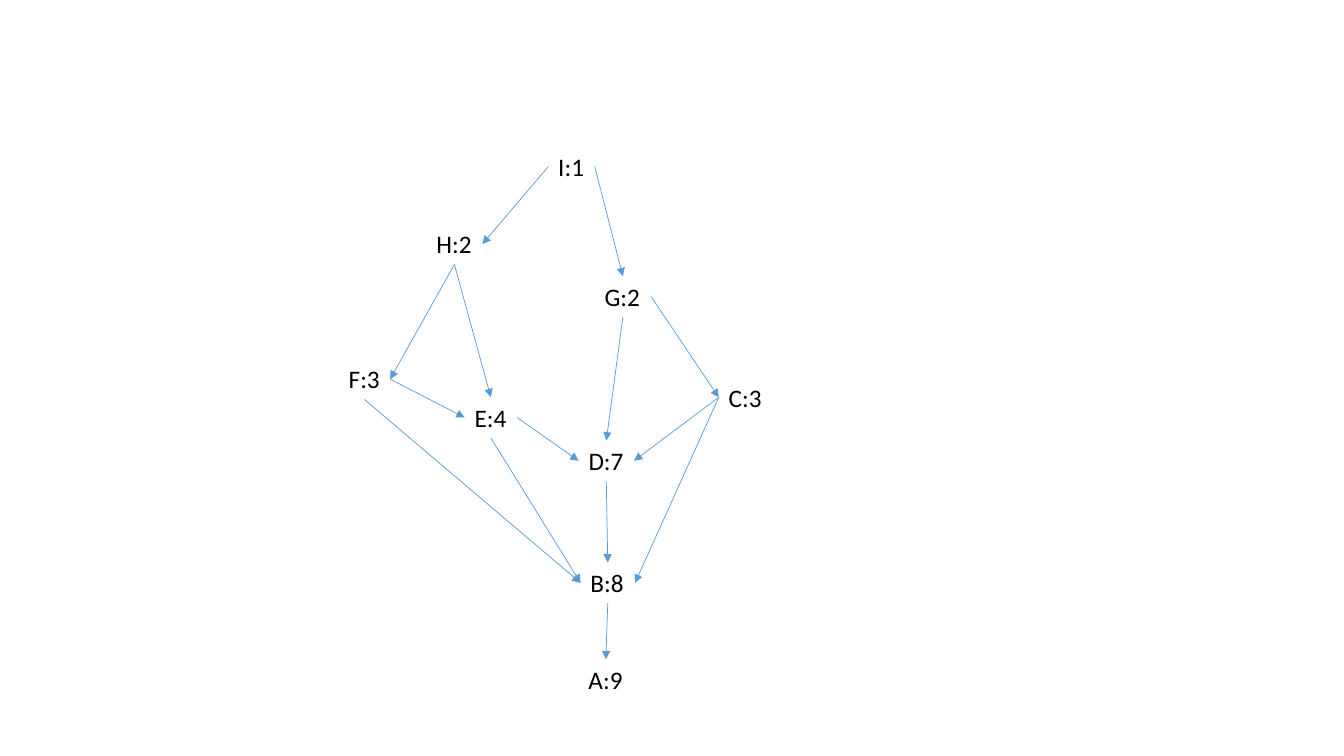
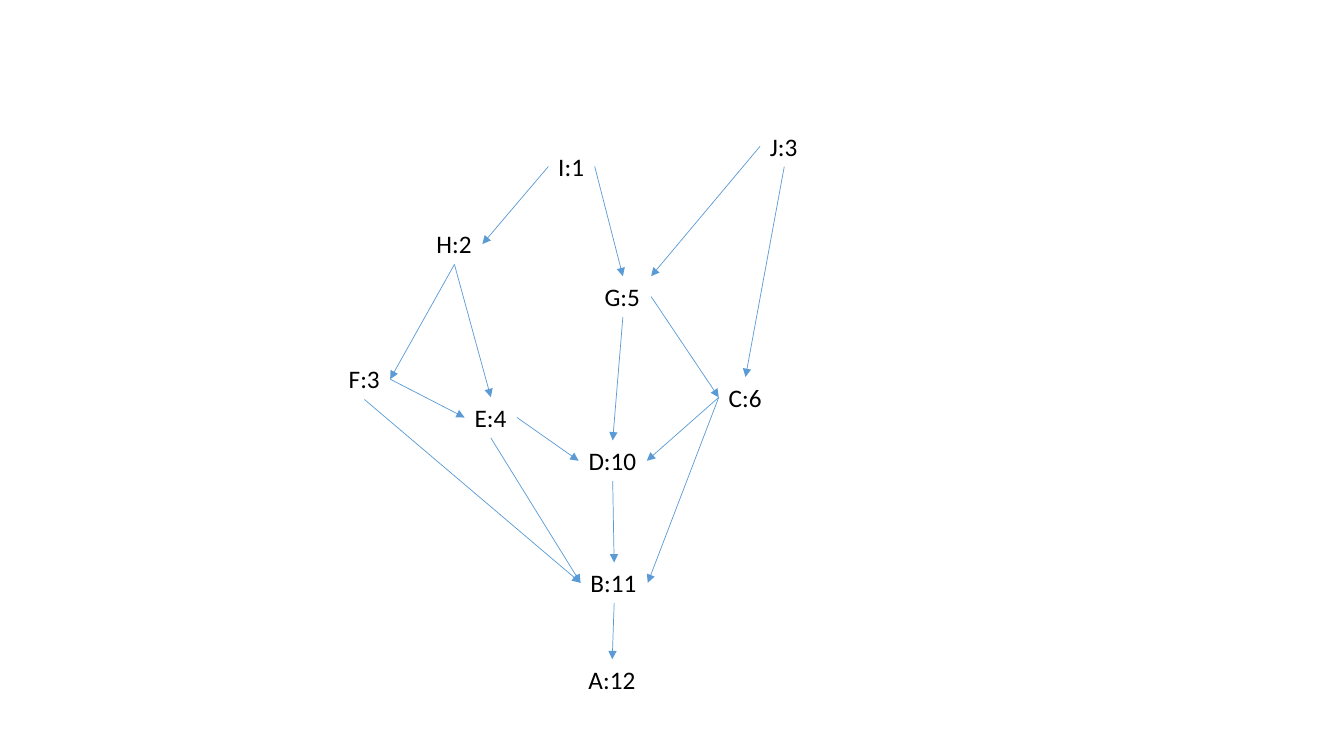
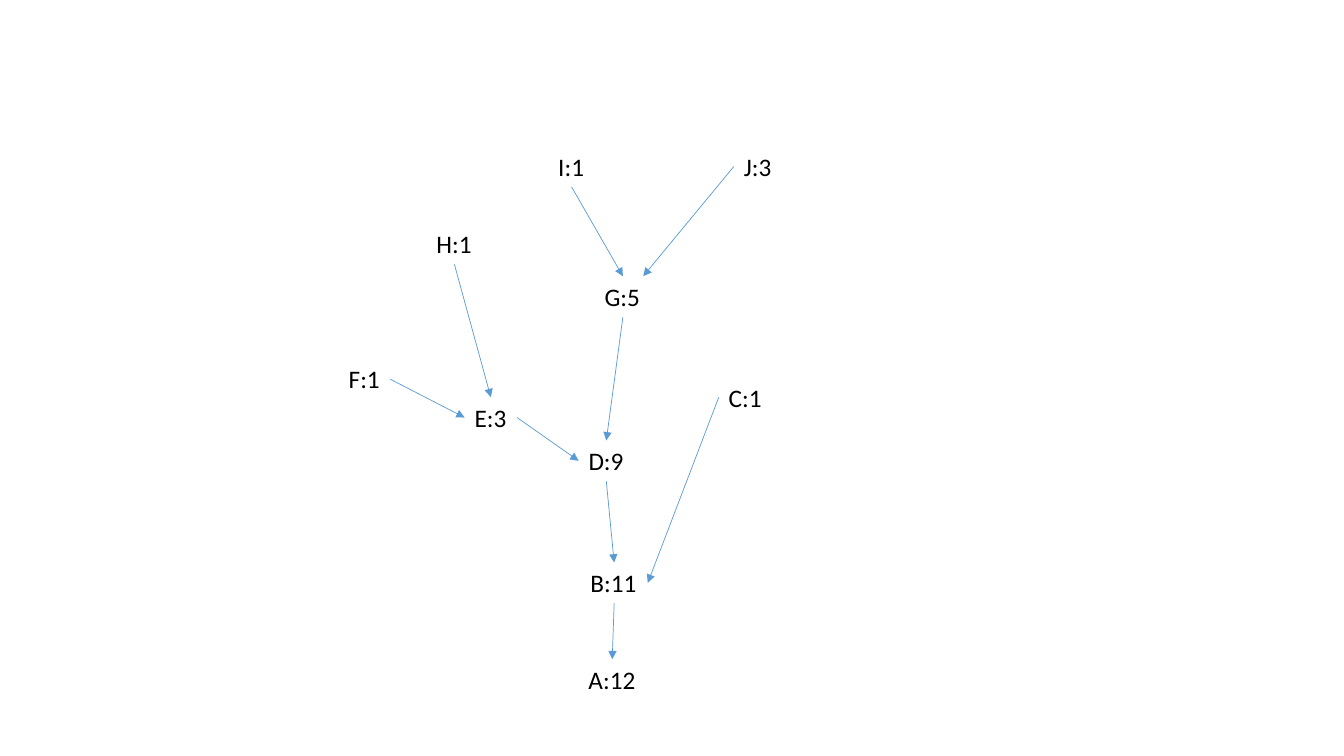
from dataclasses import dataclass
from typing import NamedTuple, Optional

from lxml.etree import SubElement
from pptx import Presentation
from pptx.dml.color import RGBColor
from pptx.enum.shapes import MSO_CONNECTOR
from pptx.enum.text import MSO_AUTO_SIZE
from pptx.oxml.ns import qn
from pptx.util import Pt


@dataclass(frozen=True)
class Theme:
    font: str = "Calibri"
    label_size: float = 18
    text: RGBColor = RGBColor(0, 0, 0)
    arrow: RGBColor = RGBColor(0x5B, 0x9B, 0xD5)
    arrow_width: float = 0.5
    label_height: float = 29.08
    digit_width: float = 9.12


class Box(NamedTuple):
    left: float
    top: float
    width: float
    height: float


class Spot(NamedTuple):
    x: float
    y: float
    width: float


class Edge(NamedTuple):
    source: str
    leaves: str
    target: str
    enters: str
    along_top: Optional[float] = None


THEME = Theme()
SITES = {"top": 0, "left": 1, "bottom": 2, "right": 3}
GRAPH_BOX = Box(242, 90, 336, 410)

SPOTS = {
    "A": Spot(171.3, 380.9, 38.9),
    "B": Spot(172.7, 311.8, 38.9),
    "C": Spot(271.4, 179.3, 38.2),
    "D": Spot(171.3, 224.6, 39.6),
    "E": Spot(89.9, 193.7, 37.4),
    "F": Spot(0, 166.3, 36.7),
    "G": Spot(182.8, 107.3, 40.3),
    "H": Spot(62.6, 69.8, 40),
    "I": Spot(149.7, 14.4, 33.1),
    "J": Spot(300.9, 0, 34.6),
}
LEVEL_SPOTS = SPOTS | {"J": Spot(282.2, 14.4, 34.6)}

TREE_EDGES = [
    Edge("B", "bottom", "A", "top"),
    Edge("C", "left", "B", "right"),
    Edge("D", "bottom", "B", "top"),
    Edge("E", "right", "D", "left"),
    Edge("F", "right", "E", "left"),
    Edge("G", "bottom", "D", "top"),
    Edge("H", "bottom", "E", "top"),
]
FULL_EDGES = TREE_EDGES + [
    Edge("C", "left", "D", "right"),
    Edge("E", "bottom", "B", "left"),
    Edge("F", "bottom", "B", "left"),
    Edge("G", "right", "C", "left"),
    Edge("H", "bottom", "F", "right"),
    Edge("I", "left", "H", "right"),
    Edge("I", "right", "G", "top"),
]
EXTENDED_EDGES = FULL_EDGES + [
    Edge("J", "left", "G", "top", 1),
    Edge("J", "bottom", "C", "top"),
]
MERGED_EDGES = TREE_EDGES + [
    Edge("I", "bottom", "G", "top"),
    Edge("J", "left", "G", "top", 0.86),
]

GRAPHS = [
    (dict(A=9, B=8, C=3, D=7, E=4, F=3, G=2, H=2, I=1), SPOTS, FULL_EDGES),
    (dict(A=12, B=11, C=6, D=10, E=4, F=3, G=5, H=2, I=1, J=3), SPOTS, EXTENDED_EDGES),
    (dict(A=12, B=11, C=1, D=9, E=3, F=1, G=5, H=1, I=1, J=3), LEVEL_SPOTS, MERGED_EDGES),
]


def add_node(slide, box, spot, letter, count):
    width = spot.width + THEME.digit_width * (len(str(count)) - 1)
    node = slide.shapes.add_textbox(
        Pt(box.left + spot.x), Pt(box.top + spot.y), Pt(width), Pt(THEME.label_height)
    )
    frame = node.text_frame
    frame.word_wrap = False
    frame.auto_size = MSO_AUTO_SIZE.SHAPE_TO_FIT_TEXT
    frame.text = f"{letter}:{count}"
    font = frame.paragraphs[0].runs[0].font
    font.name = THEME.font
    font.size = Pt(THEME.label_size)
    font.color.rgb = THEME.text
    return node


def add_arrow(slide, nodes, edge):
    target = nodes[edge.target]
    landing = target.left + int(target.width * (edge.along_top or 0))
    arrow = slide.shapes.add_connector(
        MSO_CONNECTOR.STRAIGHT, landing, target.top, landing, target.top
    )
    arrow.begin_connect(nodes[edge.source], SITES[edge.leaves])
    if edge.along_top is None:
        arrow.end_connect(target, SITES[edge.enters])
    arrow.line.color.rgb = THEME.arrow
    arrow.line.width = Pt(THEME.arrow_width)
    properties = arrow._element.spPr
    SubElement(properties.find(qn("a:ln")), qn("a:tailEnd"), type="triangle")
    SubElement(properties, qn("a:effectLst"))


def add_graph(slide, box, counts, spots, edges):
    nodes = {
        letter: add_node(slide, box, spots[letter], letter, count)
        for letter, count in counts.items()
    }
    for edge in edges:
        add_arrow(slide, nodes, edge)


deck = Presentation()
deck.slide_width, deck.slide_height = Pt(960), Pt(540)
for counts, spots, edges in GRAPHS:
    add_graph(deck.slides.add_slide(deck.slide_layouts[6]), GRAPH_BOX, counts, spots, edges)
deck.save("out.pptx")
